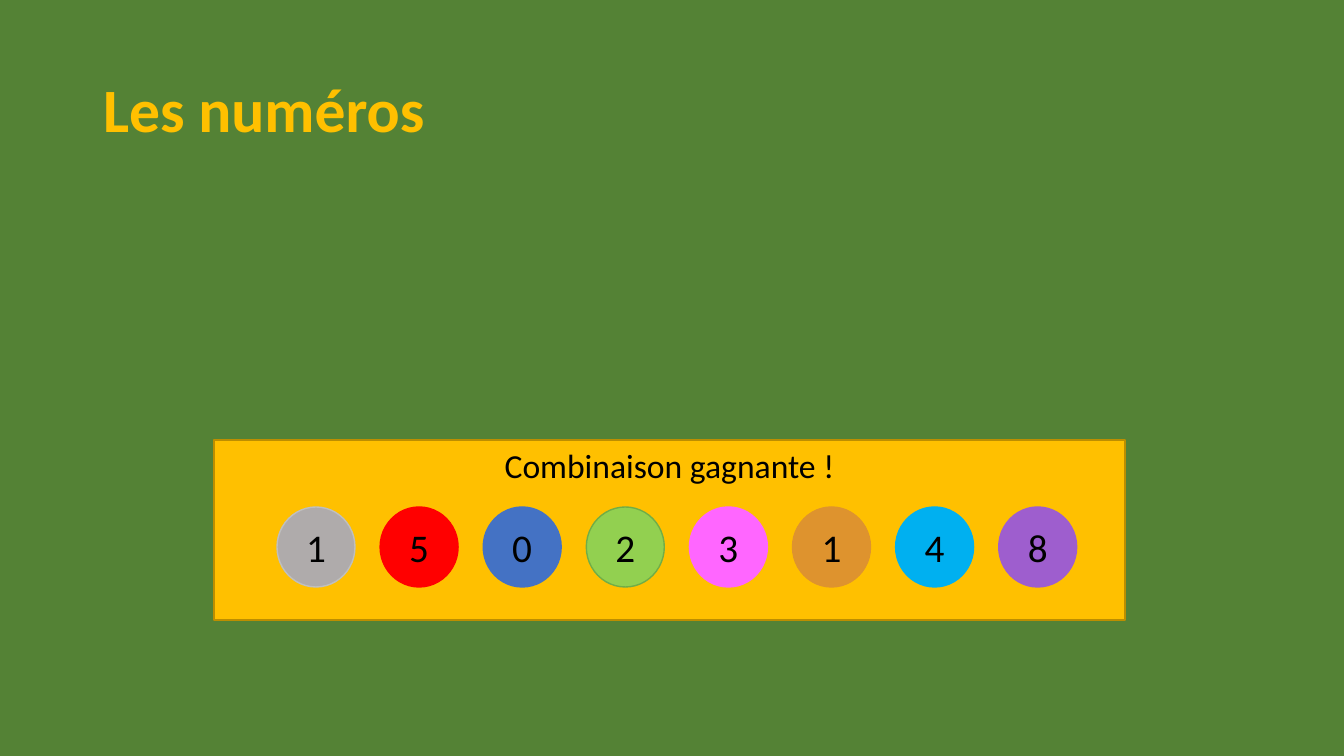
"""Build the slide "Les numéros" with its row of winning numbers."""
import pptx
import pptx.util
import pptx.dml.color
import pptx.enum.shapes
import pptx.enum.text

COLOURS = {
    "green": "548235", "gold": "FFC000", "dark gold": "BD8E00", "black": "000000",
    "grey": "AFABAB", "light grey": "BFBFBF", "red": "FF0000", "blue": "4472C4",
    "lime": "92D050", "leaf": "70AD47", "pink": "FF66FF", "orange": "DE932E",
    "sky": "00B0F0", "purple": "9E5ECE",
}
TITLE = "Les numéros"
CAPTION = "Combinaison gagnante !"
BALLS = [
    ("1", "grey", "light grey"), ("5", "red", "red"), ("0", "blue", "blue"),
    ("2", "lime", "leaf"), ("3", "pink", "pink"), ("1", "orange", "orange"),
    ("4", "sky", "sky"), ("8", "purple", "purple"),
]
TITLE_AREA = (93, 40, 1159, 146)
PANEL_AREA = (214, 440, 911, 180)
BALL_LEFT, BALL_TOP, BALL_WIDTH, BALL_HEIGHT, BALL_STEP = 277, 507, 78, 80, 103.1

SHAPES = pptx.enum.shapes.MSO_SHAPE
ALIGN = pptx.enum.text.PP_ALIGN
ANCHOR = pptx.enum.text.MSO_ANCHOR


def emu(pixels):
    """Turn pixels into EMU."""
    return pptx.util.Emu(round(pixels * 914400 / 100.8))


def colour(name):
    """Look up a named colour."""
    return pptx.dml.color.RGBColor.from_string(COLOURS[name])


def write(shape, text, size, ink="black", bold=False, align=ALIGN.CENTER,
          anchor=ANCHOR.MIDDLE, spacing=None):
    """Put one formatted paragraph into a shape."""
    frame = shape.text_frame
    frame.word_wrap = True
    frame.auto_size = pptx.enum.text.MSO_AUTO_SIZE.NONE
    frame.vertical_anchor = anchor
    para = frame.paragraphs[0]
    para.alignment = align
    para.line_spacing = spacing
    span = para.add_run()
    span.text = text
    span.font.name = "Calibri"
    span.font.size = pptx.util.Pt(size)
    span.font.bold = bold
    span.font.color.rgb = colour(ink)


def add_filled(page, kind, area, fill, line):
    """Add a filled and outlined preset shape."""
    shape = page.shapes.add_shape(kind, *map(emu, area))
    shape.shadow.inherit = False
    shape.fill.solid()
    shape.fill.fore_color.rgb = colour(fill)
    shape.line.color.rgb = colour(line)
    shape.line.width = pptx.util.Pt(1)
    return shape


deck = pptx.Presentation()
deck.slide_width, deck.slide_height = emu(1344), emu(756)
page = deck.slides.add_slide(deck.slide_layouts[5])
page.background.fill.solid()
page.background.fill.fore_color.rgb = colour("green")

title = page.shapes.title
title.left, title.top, title.width, title.height = map(emu, TITLE_AREA)
write(title, TITLE, 44, ink="gold", bold=True, align=ALIGN.LEFT, spacing=0.9)

panel = add_filled(page, SHAPES.RECTANGLE, PANEL_AREA, "gold", "dark gold")
write(panel, CAPTION, 24, anchor=ANCHOR.TOP)

for index, (number, fill, line) in enumerate(BALLS):
    area = (BALL_LEFT + index * BALL_STEP, BALL_TOP, BALL_WIDTH, BALL_HEIGHT)
    ball = add_filled(page, SHAPES.OVAL, area, fill, line)
    write(ball, number, 28)

deck.save("out.pptx")
